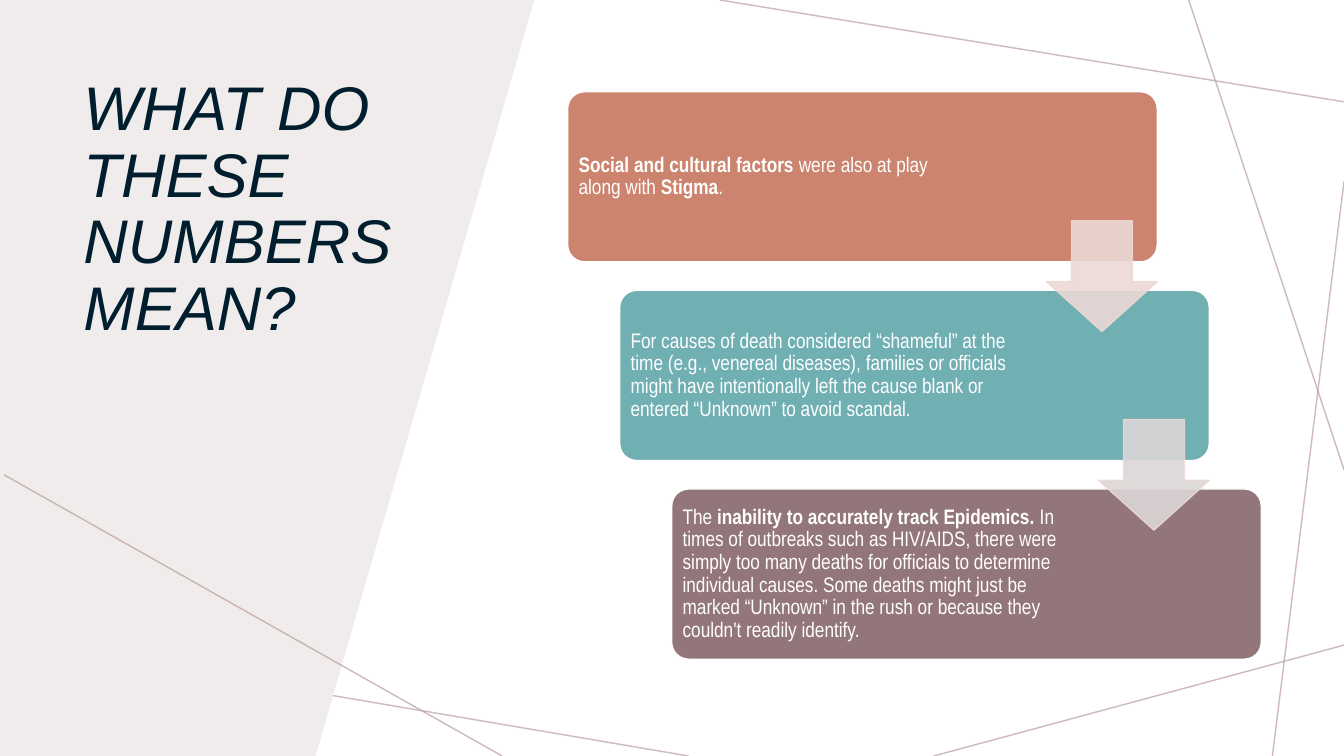
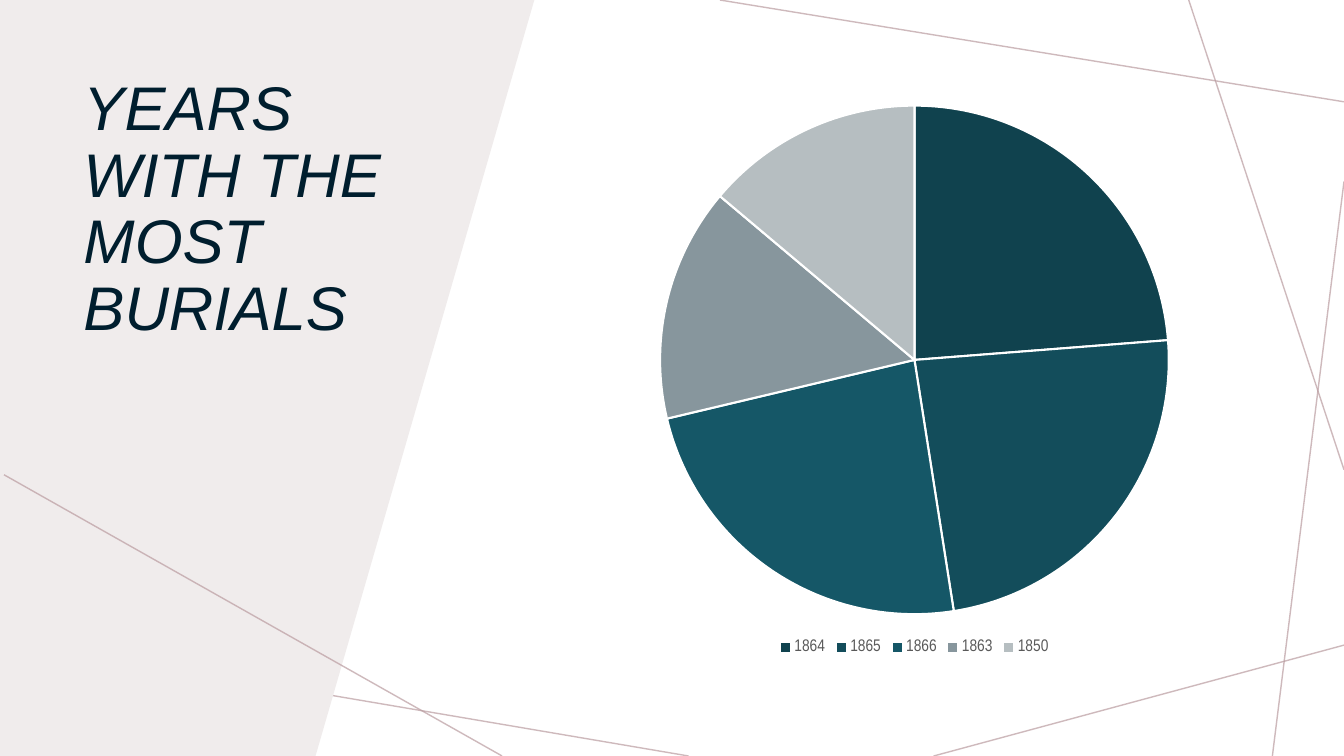
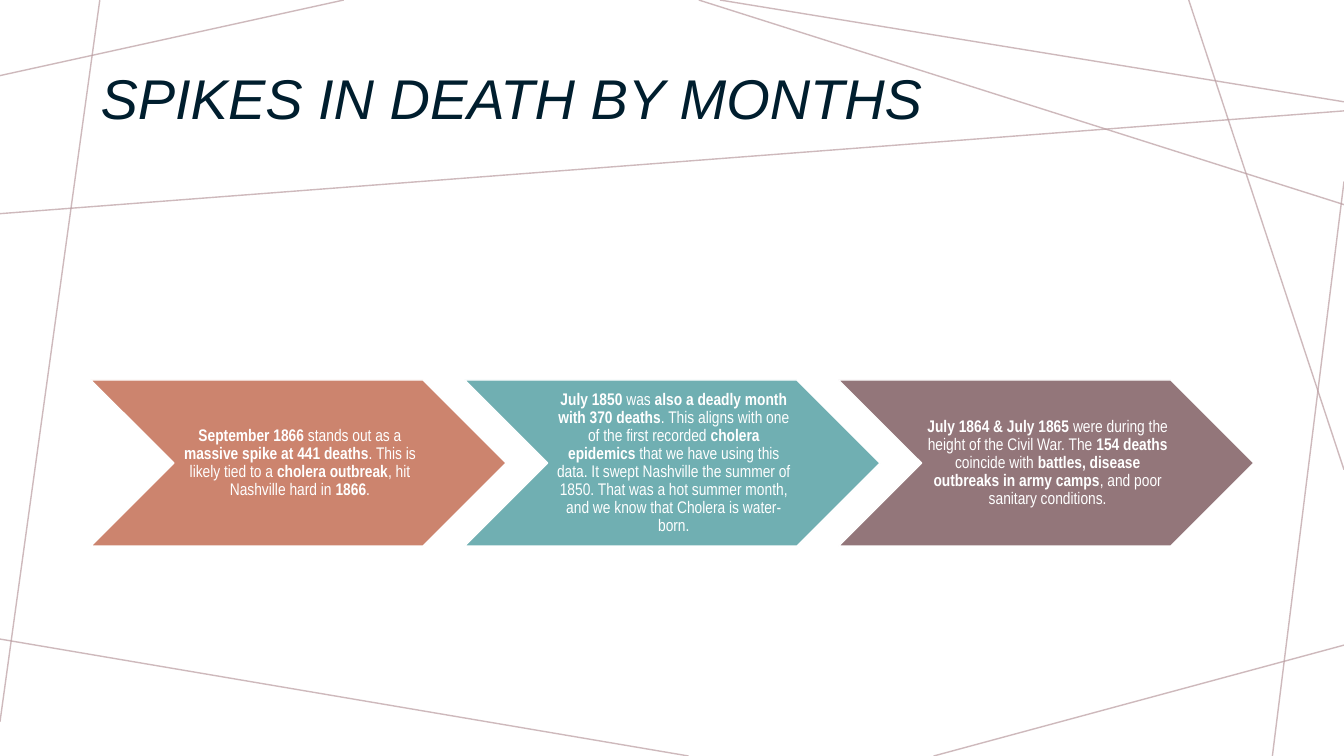
from lxml.etree import SubElement
from pptx import Presentation
from pptx.chart.data import CategoryChartData
from pptx.dml.color import RGBColor
from pptx.enum.chart import XL_CHART_TYPE, XL_LEGEND_POSITION
from pptx.enum.shapes import MSO_CONNECTOR, MSO_SHAPE
from pptx.enum.text import MSO_ANCHOR, PP_ALIGN
from pptx.oxml.ns import qn
from pptx.util import Inches, Pt

WIDTH, HEIGHT = 13.33, 7.5
HEADING_FONT, BODY_FONT = "Arial", "Arial Narrow"
COLORS = {
    "white": "FFFFFF",
    "ink": "001E2E",
    "panel": "F0ECEC",
    "line": "BA9CA0",
    "coral": "CC846E",
    "teal": "70AFB2",
    "mauve": "93767A",
    "blush": "ECD9D5",
    "mist": "DCD6D7",
    "legend": "595959",
}
SERIES_COLORS = ["coral", "teal", "mauve"]
ARROW_COLORS = ["blush", "mist"]

MASTER_LINES = [
    (3.41, 0, 0, 0.75),
    (0.99, 0, 0, 7.16),
    (6.83, HEIGHT, 0, 6.34),
    (WIDTH, 6.4, 9.26, HEIGHT),
    (WIDTH, 1.8, 12.62, HEIGHT),
    (WIDTH, 4.66, 11.79, 0),
    (WIDTH, 1.01, 7.14, 0),
]
PANEL_LINE = (0.04, 4.71, 4.98, HEIGHT)
HEADER_LINES = [(6.93, 0, WIDTH, 2.03), (0, 2.12, WIDTH, 1.1)]
PANEL_OUTLINE = [(0, HEIGHT), (0, 0), (5.3, 0), (3.13, HEIGHT)]
PANEL_TITLE_BOX = (0.73, 0.72, 3.53, 3.9)
HEADER_TITLE_BOX = (0.9, 0.46, 9.03, 1.1)
CONTENT_BOX = (5.63, 0.91, 6.88, 5.63)

REASONS_TITLE = "WHAT DO THESE NUMBERS MEAN?"
REASONS = [
    "**Social and cultural factors **were also at play along with **Stigma**.",
    "For causes of death considered “shameful” at the time (e.g., venereal diseases), "
    "families or officials might have intentionally left the cause blank or entered "
    "“Unknown” to avoid scandal.",
    "The **inability to accurately track Epidemics. **In times of outbreaks such as "
    "HIV/AIDS, there were simply too many deaths for officials to determine individual "
    "causes. Some deaths might just be marked “Unknown” in the rush or because they "
    "couldn't readily identify.",
]

BURIALS_TITLE = "YEARS WITH THE MOST BURIALS"
BURIALS = [
    ("1864", 24, "10424E"),
    ("1865", 24, "134D5B"),
    ("1866", 24, "155767"),
    ("1863", 15, "87969D"),
    ("1850", 14, "B6BEC1"),
]

SPIKES_TITLE = "SPIKES IN DEATH BY MONTHS"
SPIKES = [
    "**September 1866** stands out as a **massive spike at 441 deaths**. This is likely "
    "tied to a **cholera outbreak**, hit Nashville hard in **1866**.",
    "**July 1850** was **also a deadly month with 370 deaths**. This aligns with one of "
    "the first recorded **cholera epidemics **that we have using this data. It swept "
    "Nashville the summer of 1850. That was a hot summer month, and we know that Cholera "
    "is water-born.",
    "**July 1864 & July 1865 **were during the height of the Civil War. The **154 deaths "
    "**coincide with **battles, disease outbreaks in army camps**, and poor sanitary "
    "conditions.",
]


def color(name):
    return RGBColor.from_string(COLORS.get(name, name))


def inches(*lengths):
    return [Inches(length) for length in lengths]


def paint(target, name, opacity=100):
    target.solid()
    target.fore_color.rgb = color(name)
    if opacity < 100:
        for choice in target._xPr.iter(qn("a:srgbClr")):
            SubElement(choice, qn("a:alpha")).set("val", str(opacity * 1000))


def write_text(shape, text, size, font=BODY_FONT, ink="white", italic=False,
               align=PP_ALIGN.LEFT, anchor=MSO_ANCHOR.MIDDLE, insets=(0.1, 0.05, 0.1, 0.05)):
    frame = shape.text_frame
    frame.word_wrap = True
    frame.vertical_anchor = anchor
    (frame.margin_left, frame.margin_top,
     frame.margin_right, frame.margin_bottom) = inches(*insets)
    paragraph = frame.paragraphs[0]
    paragraph.alignment = align
    paragraph.line_spacing = 0.9
    for index, part in enumerate(text.split("**")):
        if part:
            run = paragraph.add_run()
            run.text = part
            run.font.name = font
            run.font.size = Pt(size)
            run.font.bold = index % 2 == 1
            run.font.italic = italic
            run.font.color.rgb = color(ink)


def add_shape(slide, kind, box, fill, line="white", opacity=100, adjustments=()):
    shape = slide.shapes.add_shape(kind, *inches(*box))
    shape.shadow.inherit = False
    for index, value in enumerate(adjustments):
        shape.adjustments[index] = value
    paint(shape.fill, fill, opacity)
    paint(shape.line.fill, line, opacity)
    shape.line.width = Pt(1)
    return shape


def add_line(slide, ends):
    connector = slide.shapes.add_connector(MSO_CONNECTOR.STRAIGHT, *inches(*ends))
    paint(connector.line.fill, "line", 70)
    connector.line.width = Pt(1)
    SubElement(connector.element.spPr, qn("a:effectLst"))
    return connector


def add_title(slide, text, box, size, anchor):
    title = slide.shapes.add_textbox(*inches(*box))
    write_text(title, text, size, font=HEADING_FONT, ink="ink", italic=True, anchor=anchor)


def add_slide(presentation):
    return presentation.slides.add_slide(presentation.slide_layouts[6])


def add_panel_slide(presentation, title):
    slide = add_slide(presentation)
    start, *corners = [inches(*point) for point in PANEL_OUTLINE]
    builder = slide.shapes.build_freeform(*start)
    builder.add_line_segments(corners, close=True)
    panel = builder.convert_to_shape()
    panel.shadow.inherit = False
    paint(panel.fill, "panel")
    panel.line.fill.background()
    add_title(slide, title, PANEL_TITLE_BOX, 44, MSO_ANCHOR.TOP)
    add_line(slide, PANEL_LINE)
    return slide


def move_lines_to_master(presentation, slide):
    tree = presentation.slide_master.element.cSld.spTree
    for number, ends in enumerate(MASTER_LINES, start=20):
        element = add_line(slide, ends).element
        element.nvCxnSpPr.cNvPr.id = number
        tree.append(element)


def build_reasons(presentation):
    slide = add_panel_slide(presentation, REASONS_TITLE)
    left, top, width, height = CONTENT_BOX
    card_width, card_height = width * 0.85, height * 0.3
    step_x, step_y = width * 0.075, height * 0.35
    arrow_size = card_height * 0.65
    corners = [(left + i * step_x, top + i * step_y) for i in range(len(REASONS))]
    for (x, y), text, fill in zip(corners, REASONS, SERIES_COLORS):
        card = add_shape(slide, MSO_SHAPE.ROUNDED_RECTANGLE, (x, y, card_width, card_height),
                         fill, adjustments=[0.1])
        right_inset = 1.79 if x == left else 1.68
        write_text(card, text, 15, insets=(0.06, 0.06, right_inset, 0.06))
    for (x, y), fill in zip(corners, ARROW_COLORS):
        gap_middle = y + (card_height + step_y) / 2
        box = (x + card_width - arrow_size, gap_middle - arrow_size / 2, arrow_size, arrow_size)
        add_shape(slide, MSO_SHAPE.DOWN_ARROW, box, fill, line="blush", opacity=90,
                  adjustments=[0.55, 0.45])


def build_burials(presentation):
    slide = add_panel_slide(presentation, BURIALS_TITLE)
    years, values, fills = zip(*BURIALS)
    data = CategoryChartData()
    data.categories = years
    data.add_series("Series 1", values)
    chart = slide.shapes.add_chart(XL_CHART_TYPE.PIE, *inches(*CONTENT_BOX), data).chart
    chart.has_title = False
    chart.font.name = BODY_FONT
    chart.font.size = Pt(10)
    chart.has_legend = True
    legend = chart.legend
    legend.position = XL_LEGEND_POSITION.BOTTOM
    legend.include_in_layout = False
    legend.font.name = BODY_FONT
    legend.font.size = Pt(12)
    legend.font.color.rgb = color("legend")
    plot = chart.plots[0]
    plot.vary_by_categories = True
    for index, fill in enumerate(fills):
        slice_format = plot.series[0].points[index].format
        paint(slice_format.fill, fill)
        paint(slice_format.line.fill, "white")
        slice_format.line.width = Pt(1.5)


def build_spikes(presentation):
    slide = add_slide(presentation)
    add_title(slide, SPIKES_TITLE, HEADER_TITLE_BOX, 40, MSO_ANCHOR.MIDDLE)
    for ends in HEADER_LINES:
        add_line(slide, ends)
    left, top, width = 0.9, 3.77, 4.12
    for index, (text, fill) in enumerate(zip(SPIKES, SERIES_COLORS)):
        box = (left + index * width * 0.9, top, width, width * 0.4)
        chevron = add_shape(slide, MSO_SHAPE.CHEVRON, box, fill)
        write_text(chevron, text, 12, align=PP_ALIGN.CENTER, insets=(0.05, 0.02, 0.02, 0.02))


def main():
    presentation = Presentation()
    presentation.slide_width, presentation.slide_height = inches(WIDTH, HEIGHT)
    build_reasons(presentation)
    build_burials(presentation)
    build_spikes(presentation)
    move_lines_to_master(presentation, presentation.slides[0])
    presentation.save("out.pptx")


if __name__ == "__main__":
    main()
